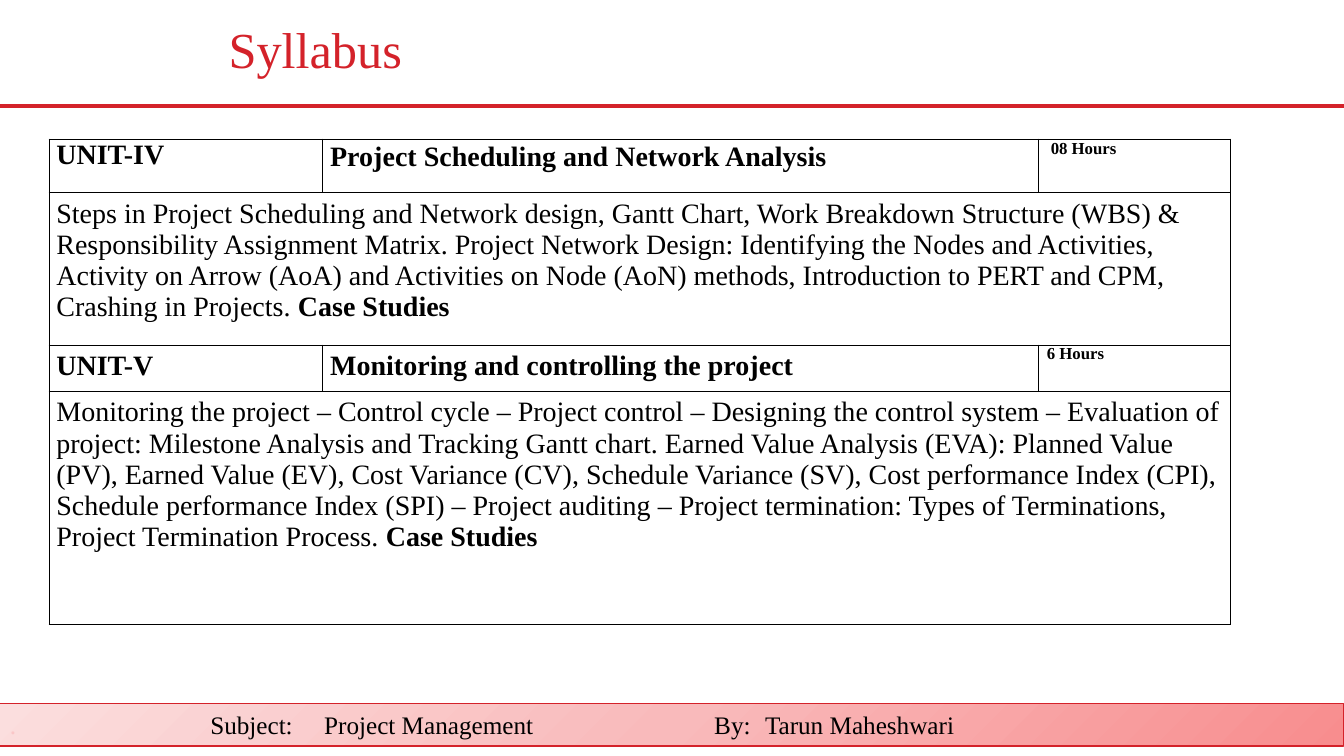
from copy import deepcopy
from dataclasses import dataclass

from lxml.etree import SubElement
from pptx import Presentation
from pptx.dml.color import RGBColor
from pptx.enum.shapes import MSO_CONNECTOR as Connector, MSO_SHAPE as Preset
from pptx.enum.text import MSO_ANCHOR as Anchor, PP_ALIGN as Align
from pptx.oxml.ns import qn
from pptx.util import Cm, Pt

FONT = "Times New Roman"
COLORS = {
    "red": "D4222A",
    "black": "000000",
    "dot": "FAC6C7",
    "deep": "F88D8E",
    "middle": "F9BABB",
    "pale": "FBDEDE",
}
COLUMN_WIDTHS = (6.88, 18.06, 4.83)
ROW_HEIGHTS = (1.35, 3.84, 1.17, 5.87)
FOOTER_TABS = (5.05, 7.92, 17.75, 19.03)


@dataclass
class TextRun:
    text: str
    bold: bool = False
    size: float = 20
    color: str = "black"


@dataclass
class Line:
    runs: list[TextRun]
    spacing: float | None = None


@dataclass
class CellText:
    row: int
    column: int
    lines: list[Line]
    left: float = 0.18
    top: float = 0
    merged: bool = False


def heading(row: int, column: int, text: str, left: float, top: float,
            spacing: float | None = None, size: float = 20) -> CellText:
    return CellText(row, column, [Line([TextRun(text, True, size)], spacing)], left, top)


def topics(row: int, first: str, rest: str) -> CellText:
    lines = [
        Line([TextRun(first)], 12.9),
        Line([TextRun(rest), TextRun("Case Studies", True)]),
    ]
    return CellText(row, 0, lines, top=0.46, merged=True)


CELLS = [
    heading(0, 0, "UNIT-IV", 0.18, 0.01),
    heading(0, 1, "Project Scheduling and Network Analysis", 0.2, 0.05),
    heading(0, 2, "08 Hours", 0.3, 0.01, size=12),
    topics(
        1,
        "Steps in Project Scheduling and Network design, Gantt Chart, "
        "Work Breakdown Structure (WBS) &",
        "Responsibility Assignment Matrix. Project Network Design: Identifying the Nodes "
        "and Activities, Activity on Arrow (AoA) and Activities on Node (AoN) methods, "
        "Introduction to PERT and CPM, Crashing in Projects. ",
    ),
    heading(2, 0, "UNIT-V", 0.18, 0.45, 12.8),
    heading(2, 1, "Monitoring and controlling the project", 0.2, 0.45, 12.8),
    heading(2, 2, "6 Hours", 0.2, 0, 12.8, 12),
    topics(
        3,
        "Monitoring the project – Control cycle – Project control – "
        "Designing the control system – Evaluation of",
        "project: Milestone Analysis and Tracking Gantt chart. Earned Value Analysis (EVA): "
        "Planned Value (PV), Earned Value (EV), Cost Variance (CV), Schedule Variance (SV), "
        "Cost performance Index (CPI), Schedule performance Index (SPI) – Project auditing – "
        "Project termination: Types of Terminations, Project Termination Process. ",
    ),
]


def rgb(name: str) -> RGBColor:
    return RGBColor.from_string(COLORS[name])


def add_runs(paragraph, runs: list[TextRun]) -> None:
    for item in runs:
        run = paragraph.add_run()
        run.text = item.text
        run.font.name = FONT
        run.font.size = Pt(item.size)
        run.font.bold = item.bold
        run.font.color.rgb = rgb(item.color)


def add_rule(slide) -> None:
    rule = slide.shapes.add_connector(Connector.STRAIGHT, 0, Cm(2.67), Cm(33.87), Cm(2.67))
    rule.line.color.rgb = rgb("red")
    rule.line.width = Pt(3)
    SubElement(rule._element.spPr, qn("a:effectLst"))


def add_footer(slide) -> None:
    footer = slide.shapes.add_shape(Preset.RECTANGLE, 0, Cm(17.73), Cm(33.87), Cm(1.07))
    footer.shadow.inherit = False
    footer.line.color.rgb = rgb("red")
    footer.line.width = Pt(0.75)
    footer.fill.gradient()
    footer.fill.gradient_angle = 135
    stop_list = footer._element.spPr.find(qn("a:gradFill")).find(qn("a:gsLst"))
    stop_list.insert(1, deepcopy(stop_list[0]))
    stops = footer.fill.gradient_stops
    for stop, position, color in zip(stops, (0, 0.5, 1), ("deep", "middle", "pale")):
        stop.position = position
        stop.color.rgb = rgb(color)
    footer.text_frame.vertical_anchor = Anchor.MIDDLE
    paragraph = footer.text_frame.paragraphs[0]
    paragraph.alignment = Align.LEFT
    tab_list = SubElement(paragraph._p.get_or_add_pPr(), qn("a:tabLst"))
    for position in FOOTER_TABS:
        SubElement(tab_list, qn("a:tab"), pos=str(Cm(position)), algn="l")
    add_runs(paragraph, [
        TextRun(".", size=18, color="dot"),
        TextRun("\tSubject:\tProject Management\tBy:\tTarun Maheshwari", size=18),
    ])


def add_title(slide) -> None:
    title = slide.shapes.add_textbox(Cm(5.51), Cm(0.25), Cm(28.22), Cm(2.13))
    title.text_frame.word_wrap = True
    title.text_frame.vertical_anchor = Anchor.MIDDLE
    paragraph = title.text_frame.paragraphs[0]
    paragraph.line_spacing = 0.9
    add_runs(paragraph, [TextRun("Syllabus", size=36, color="red")])


def style_cell(cell) -> None:
    properties = cell._tc.get_or_add_tcPr()
    for side in ("lnL", "lnR", "lnT", "lnB"):
        border = SubElement(properties, qn(f"a:{side}"), w=str(Pt(1)))
        fill = SubElement(border, qn("a:solidFill"))
        SubElement(fill, qn("a:srgbClr"), val=COLORS["black"])
    cell.fill.background()
    cell.margin_left = cell.margin_right = cell.margin_top = cell.margin_bottom = 0


def add_syllabus(slide) -> None:
    frame = slide.shapes.add_table(
        len(ROW_HEIGHTS), len(COLUMN_WIDTHS), Cm(1.24), Cm(3.51),
        Cm(sum(COLUMN_WIDTHS)), Cm(sum(ROW_HEIGHTS)))
    table = frame.table
    table.first_row = False
    table.horz_banding = False
    for column, width in zip(table.columns, COLUMN_WIDTHS):
        column.width = Cm(width)
    for row, height in zip(table.rows, ROW_HEIGHTS):
        row.height = Cm(height)
    for cell in table.iter_cells():
        style_cell(cell)
    for item in CELLS:
        cell = table.cell(item.row, item.column)
        if item.merged:
            cell.merge(table.cell(item.row, len(COLUMN_WIDTHS) - 1))
        cell.margin_left = Cm(item.left)
        cell.margin_top = Cm(item.top)
        for index, line in enumerate(item.lines):
            text_frame = cell.text_frame
            paragraph = text_frame.add_paragraph() if index else text_frame.paragraphs[0]
            if line.spacing:
                paragraph.line_spacing = Pt(line.spacing)
            add_runs(paragraph, line.runs)


def main() -> None:
    presentation = Presentation()
    presentation.slide_width = Cm(33.87)
    presentation.slide_height = Cm(19.05)
    slide = presentation.slides.add_slide(presentation.slide_layouts[6])
    add_rule(slide)
    add_footer(slide)
    add_title(slide)
    add_syllabus(slide)
    presentation.save("out.pptx")


if __name__ == "__main__":
    main()
